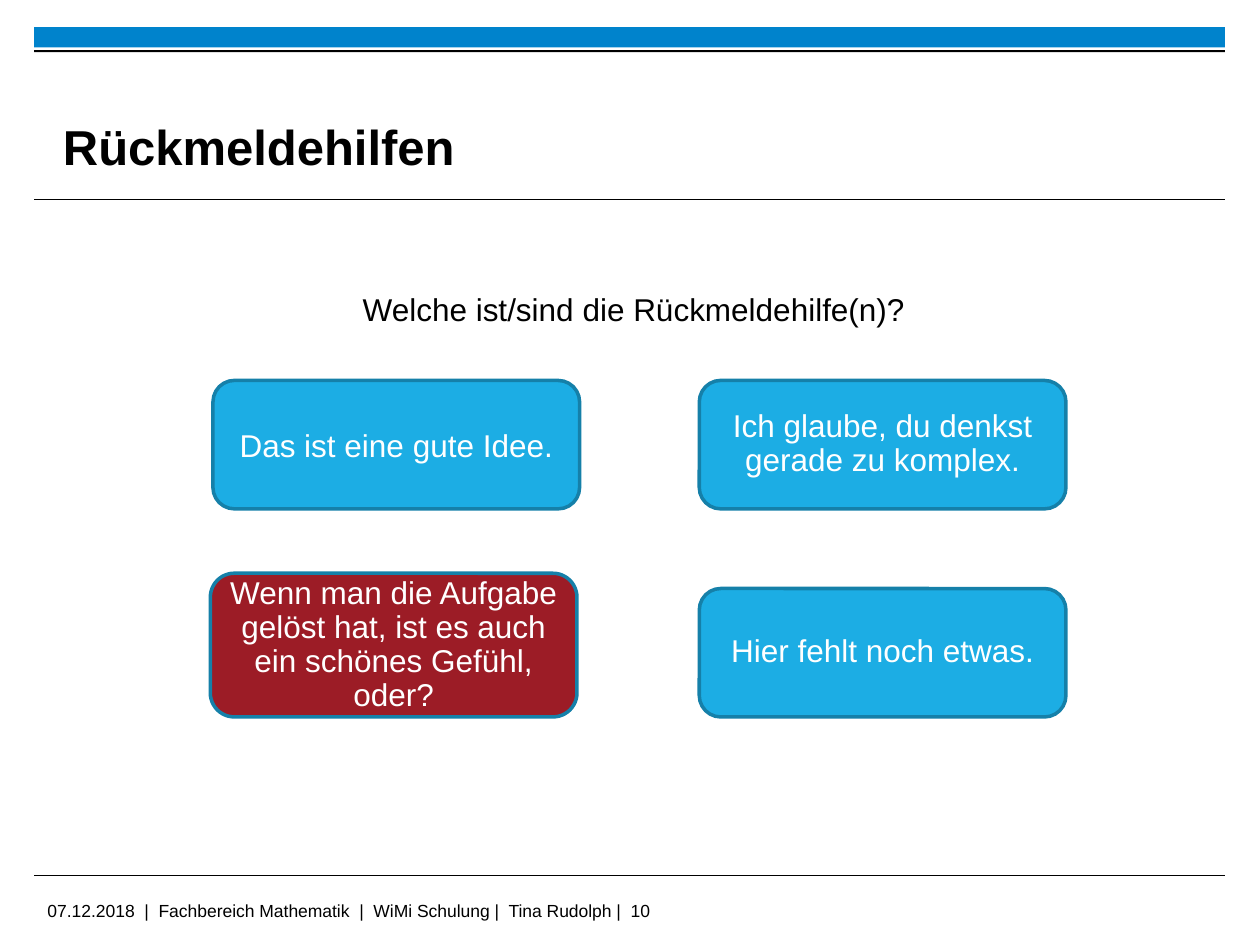
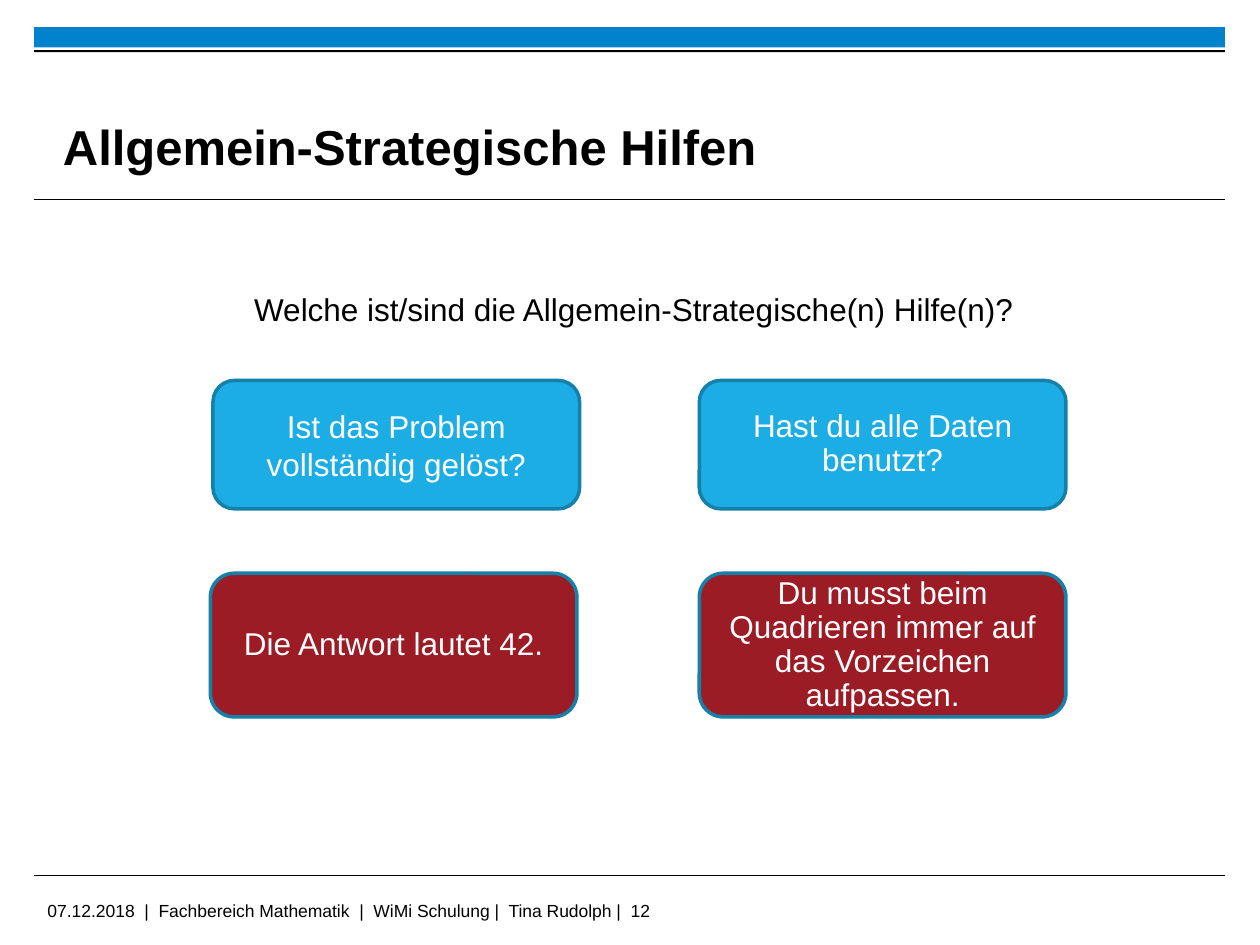
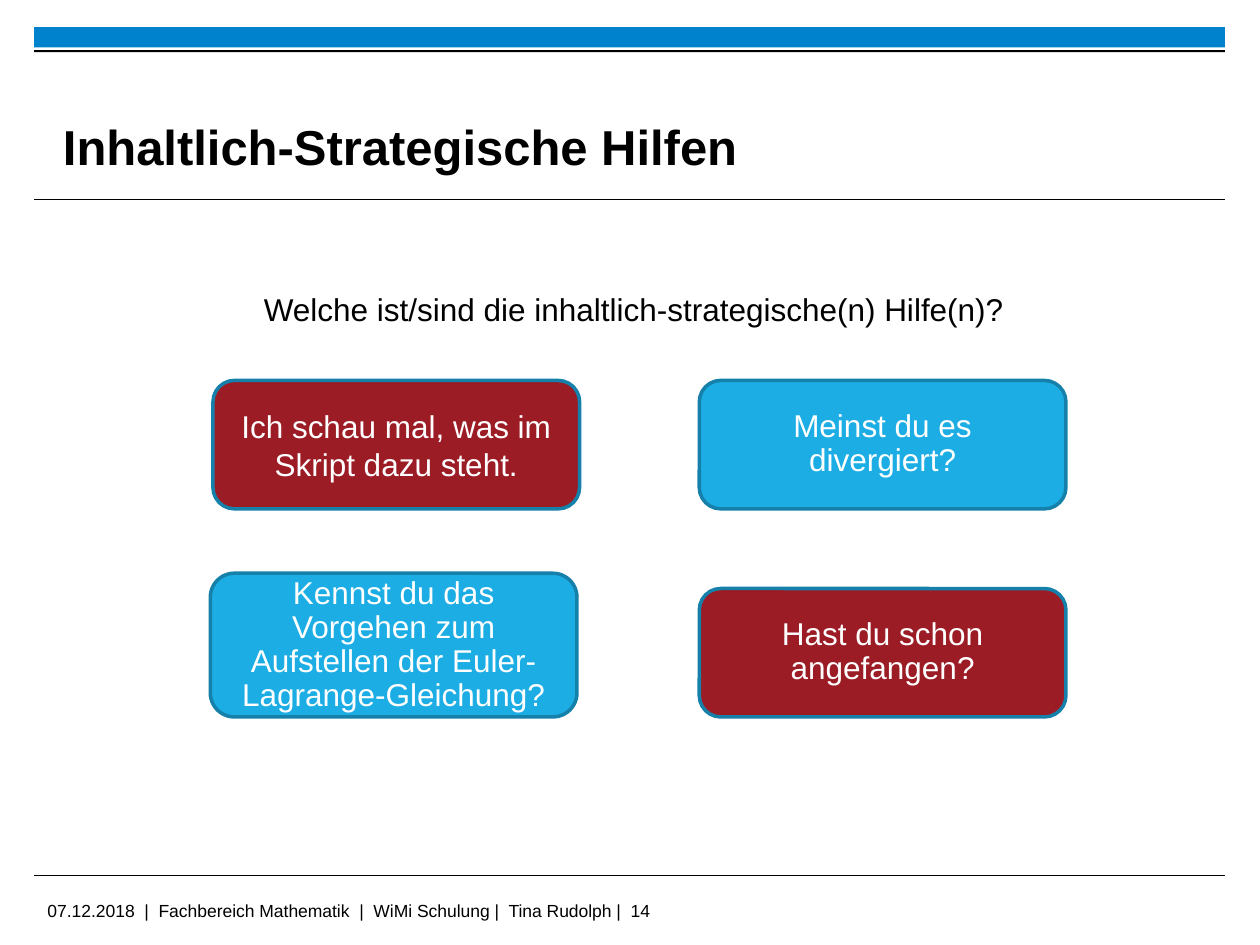
"""Build three quiz slides on kinds of learning hints."""
from lxml.etree import SubElement
from pptx import Presentation
from pptx.dml.color import RGBColor
from pptx.enum.shapes import MSO_CONNECTOR, MSO_SHAPE
from pptx.enum.text import MSO_ANCHOR, PP_ALIGN
from pptx.oxml.ns import qn
from pptx.util import Pt

COLORS = {
    "band": "0083CC",
    "ink": "000000",
    "paper": "FFFFFF",
    "blue": "1CADE4",
    "red": "9C1C26",
    "edge": "1580A9",
}
FONT = "Arial"
FOOTER = "07.12.2018  |  Fachbereich Mathematik  |  WiMi Schulung |  Tina Rudolph |  {}"
LEFT, WIDTH = 19.5, 680.4
CARD_W, SHORT, TALL = 209.5, 73.4, 82.1
ROW_TOP, ROW_BOTTOM = 217.4, 409.7
COL_LEFT, COL_RIGHT = 121.7, 399.6

SLIDES = [
    (10, "Rückmeldehilfen", "Welche ist/sind die Rückmeldehilfe(n)?", [
        ("Das ist eine gute Idee.", "blue", SHORT),
        ("Ich glaube, du denkst gerade zu komplex.", "blue", SHORT),
        ("Wenn man die Aufgabe\ngelöst hat, ist es auch ein schönes Gefühl, oder?", "red", TALL),
        ("Hier fehlt noch etwas.", "blue", SHORT),
    ]),
    (12, "Allgemein-Strategische Hilfen",
     "Welche ist/sind die Allgemein-Strategische(n) Hilfe(n)?", [
        ("Ist das Problem vollständig gelöst?", "blue", SHORT),
        ("Hast du alle Daten benutzt?", "blue", SHORT),
        ("Die Antwort lautet 42.", "red", TALL),
        ("Du musst beim Quadrieren immer auf das Vorzeichen aufpassen.", "red", TALL),
    ]),
    (14, "Inhaltlich-Strategische Hilfen",
     "Welche ist/sind die inhaltlich-strategische(n) Hilfe(n)?", [
        ("Ich schau mal, was im Skript dazu steht.", "red", SHORT),
        ("Meinst du es divergiert?", "blue", SHORT),
        ("Kennst du das Vorgehen zum Aufstellen der Euler-Lagrange-Gleichung?", "blue", TALL),
        ("Hast du schon angefangen?", "red", SHORT),
    ]),
]


def rgb(name):
    return RGBColor.from_string(COLORS[name])


def write(sp, text, size=18, color="ink", bold=False, align=PP_ALIGN.LEFT,
          anchor=MSO_ANCHOR.TOP, spacing=1.0, before=0, after=0, inset=(7.2, 3.6)):
    tf = sp.text_frame
    tf.word_wrap = True
    tf.vertical_anchor = anchor
    tf.margin_left = tf.margin_right = Pt(inset[0])
    tf.margin_top = tf.margin_bottom = Pt(inset[1])
    for i, line in enumerate(text.split("\n")):
        p = tf.add_paragraph() if i else tf.paragraphs[0]
        p.alignment = align
        p.line_spacing = spacing
        p.space_before, p.space_after = Pt(before), Pt(after)
        r = p.add_run()
        r.text = line
        r.font.name, r.font.size, r.font.bold = FONT, Pt(size), bold
        r.font.color.rgb = rgb(color)


class Deck:
    def __init__(self):
        self.prs = Presentation()
        self.prs.slide_width, self.prs.slide_height = Pt(720), Pt(540)
        self.s = None

    def text(self, x, y, w, h, text, **fmt):
        sp = self.s.shapes.add_textbox(Pt(x), Pt(y), Pt(w), Pt(h))
        write(sp, text, **fmt)

    def shape(self, kind, x, y, w, h, fill, edge=None):
        sp = self.s.shapes.add_shape(kind, Pt(x), Pt(y), Pt(w), Pt(h))
        sp.shadow.inherit = False
        sp.fill.solid()
        sp.fill.fore_color.rgb = rgb(fill)
        if edge:
            sp.line.color.rgb = rgb(edge)
            sp.line.width = Pt(2)
        else:
            sp.line.fill.background()
        return sp

    def rule(self, y):
        line = self.s.shapes.add_connector(
            MSO_CONNECTOR.STRAIGHT, Pt(LEFT), Pt(y), Pt(LEFT + WIDTH), Pt(y))
        line.line.color.rgb = rgb("ink")
        line.line.width = Pt(0.6)
        SubElement(line._element.spPr, qn("a:effectLst"))

    def card(self, x, y, h, text, fill, spacing):
        sp = self.shape(MSO_SHAPE.ROUNDED_RECTANGLE, x, y, CARD_W, h, fill, "edge")
        write(sp, text, color="paper", align=PP_ALIGN.CENTER,
              anchor=MSO_ANCHOR.MIDDLE, spacing=spacing)

    def slide(self, number, title):
        self.s = self.prs.slides.add_slide(self.prs.slide_layouts[6])
        self.shape(MSO_SHAPE.RECTANGLE, LEFT, 15.6, WIDTH, 11.5, "band")
        self.rule(114.2)
        self.shape(MSO_SHAPE.RECTANGLE, LEFT, 28.6, WIDTH, 1.2, "ink")
        self.rule(500.5)
        self.text(20, 511, 567.4, 18, FOOTER.format(number), size=10)
        self.text(36, 38.2, 648, 90, title, size=28, bold=True,
                  anchor=MSO_ANCHOR.MIDDLE, inset=(0, 0))

    def quiz(self, question, cards):
        self.text(36, 151.2, 652.3, 378, question, align=PP_ALIGN.CENTER,
                  spacing=1.5, before=2, after=2.3, inset=(0, 3.6))
        for i, (text, fill, h) in enumerate(cards):
            row, col = divmod(i, 2)
            x = COL_RIGHT if col else COL_LEFT - 1.5 * row
            y = ROW_BOTTOM - h if row else ROW_TOP
            self.card(x, y, h, text, fill, 0.9 if i else 1.0)


def main():
    deck = Deck()
    for number, title, question, cards in SLIDES:
        deck.slide(number, title)
        deck.quiz(question, cards)
    deck.prs.save("out.pptx")


if __name__ == "__main__":
    main()
